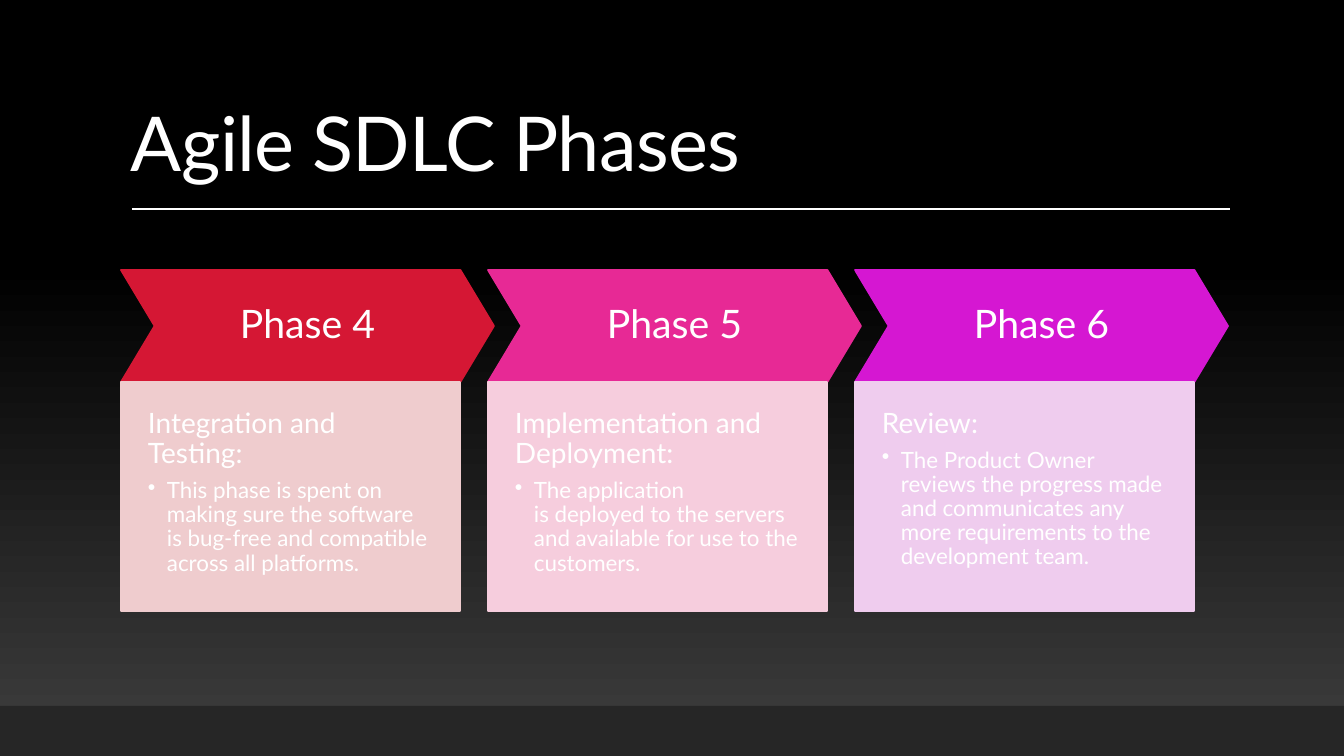
import pptx
import pptx.dml.color
import pptx.enum.dml
import pptx.enum.shapes
import pptx.enum.text
import pptx.oxml
import pptx.oxml.ns
import pptx.util

RGB = pptx.dml.color.RGBColor
SHAPES = pptx.enum.shapes.MSO_SHAPE
ALIGN = pptx.enum.text.PP_ALIGN
ANCHOR = pptx.enum.text.MSO_ANCHOR

WHITE = RGB(0xFF, 0xFF, 0xFF)
BLACK = RGB(0x00, 0x00, 0x00)
GREY = RGB(0x3F, 0x3F, 0x3F)
FOOTER = RGB(0x26, 0x26, 0x26)
RED = RGB(0xD5, 0x17, 0x34)
PINK = RGB(0xE7, 0x29, 0x95)
MAGENTA = RGB(0xD5, 0x17, 0xD2)
PALE_RED = RGB(0xEF, 0xCC, 0xCE)
PALE_PINK = RGB(0xF6, 0xCD, 0xDD)
PALE_MAGENTA = RGB(0xEF, 0xCC, 0xEE)

FONT = "Lato"
EMU_PER_PIXEL = 914400 / 100.8
PAGE_WIDTH, PAGE_HEIGHT = 1344, 756
FOOTER_TOP = 706
PHASE_LEFT, PHASE_STEP = 121, 367
CHEVRON_TOP, CHEVRON_WIDTH, CHEVRON_HEIGHT = 270, 373, 112
CARD_WIDTH, CARD_HEIGHT = 339, 229

PHASES = [
    ("Phase 4", RED, PALE_RED, "Integration and Testing:",
     "This phase is spent on making sure the software is bug-free "
     "and compatible across all platforms."),
    ("Phase 5", PINK, PALE_PINK, "Implementation and Deployment:",
     "The\u00a0application is\u00a0deployed to the servers and available "
     "for use to the customers."),
    ("Phase 6", MAGENTA, PALE_MAGENTA, "Review:",
     "The Product\u00a0Owner reviews the progress made and communicates "
     "any more requirements to the development team."),
]


def px(length):
    """Turn pixels into EMU."""
    return pptx.util.Emu(round(length * EMU_PER_PIXEL))


def apply(target, values):
    """Set each named attribute of the target."""
    for name, value in values.items():
        setattr(target, name, value)


def set_background(page):
    """Fade the page from grey at the bottom to black."""
    fill = page.background.fill
    fill.gradient()
    fill.gradient_angle = 90
    for stop, color, position in zip(fill.gradient_stops, (GREY, BLACK), (0, 0.65)):
        stop.color.rgb = color
        stop.position = position


def set_opacity(color_format, percent):
    """Make a solid colour partly transparent."""
    color = color_format._xFill.find(pptx.oxml.ns.qn("a:srgbClr"))
    alpha = color.makeelement(pptx.oxml.ns.qn("a:alpha"), {"val": str(percent * 1000)})
    color.append(alpha)


def add_block(page, kind, bounds, color, outlined=True, opacity=100):
    """Add a filled preset shape, outlined in its own colour."""
    block = page.shapes.add_shape(kind, *map(px, bounds))
    block.shadow.inherit = False
    block.fill.solid()
    block.fill.fore_color.rgb = color
    if outlined:
        block.line.width = pptx.util.Pt(1.25)
        block.line.color.rgb = color
    else:
        block.line.fill.background()
    if opacity < 100:
        for fill in (block.fill, block.line.fill):
            set_opacity(fill._fill, opacity) if hasattr(fill._fill, "_xFill") else None
    return block


def set_frame(frame, anchor, margins):
    """Set wrapping, anchor and left, top, right, bottom margins."""
    names = ("margin_left", "margin_top", "margin_right", "margin_bottom")
    apply(frame, {"word_wrap": True, "vertical_anchor": anchor,
                  **dict(zip(names, map(px, margins)))})


def write_para(para, text, size, **values):
    """Write one run in white and format its paragraph."""
    apply(para, {"alignment": ALIGN.LEFT, "line_spacing": 0.9, **values})
    span = para.add_run()
    span.text = text
    apply(span.font, {"name": FONT, "size": pptx.util.Pt(size)})
    span.font.color.rgb = WHITE
    return span


def add_bullet(para, indent):
    """Give a paragraph a hanging round bullet."""
    properties = para._p.get_or_add_pPr()
    properties.set("marL", str(px(indent)))
    properties.set("indent", str(-px(indent)))
    bullet = properties.makeelement(pptx.oxml.ns.qn("a:buChar"), {"char": "\u2022"})
    properties.append(bullet)


def add_title(page, text):
    """Add the slide title with slightly tightened letters."""
    box = page.shapes.add_textbox(*map(px, (121, 31, 1109, 160)))
    set_frame(box.text_frame, ANCHOR.BOTTOM, (10, 5, 10, 5))
    span = write_para(box.text_frame.paragraphs[0], text, 54, line_spacing=0.8)
    span.font._element.set("spc", "-50")


def add_rule(page, left, right, top):
    """Add the thin white line under the title."""
    rule = page.shapes.add_connector(
        pptx.enum.shapes.MSO_CONNECTOR.STRAIGHT, *map(px, (left, top, right, top)))
    rule.line.width = pptx.util.Pt(1)
    rule.line.color.rgb = WHITE
    properties = rule._element.spPr
    properties.append(properties.makeelement(pptx.oxml.ns.qn("a:effectLst"), {}))


def add_phase(page, left, name, color, pale, heading, detail):
    """Add one phase: a chevron with its name above a card."""
    chevron = add_block(page, SHAPES.CHEVRON,
                        (left, CHEVRON_TOP, CHEVRON_WIDTH, CHEVRON_HEIGHT), color)
    chevron.adjustments[0] = 0.3
    set_frame(chevron.text_frame, ANCHOR.MIDDLE, (14, 14, 14, 14))
    write_para(chevron.text_frame.paragraphs[0], name, 28, alignment=ALIGN.CENTER)

    card = add_block(page, SHAPES.RECTANGLE,
                     (left, CHEVRON_TOP + CHEVRON_HEIGHT, CARD_WIDTH, CARD_HEIGHT),
                     pale, opacity=90)
    frame = card.text_frame
    set_frame(frame, ANCHOR.TOP, (27, 27, 27, 53))
    write_para(frame.paragraphs[0], heading, 20, space_after=pptx.util.Pt(7))
    bullet_para = frame.add_paragraph()
    write_para(bullet_para, detail, 16)
    add_bullet(bullet_para, 19)


def main():
    """Build the slide and save it."""
    deck = pptx.Presentation()
    apply(deck, {"slide_width": px(PAGE_WIDTH), "slide_height": px(PAGE_HEIGHT)})
    page = deck.slides.add_slide(deck.slide_layouts[6])
    set_background(page)
    add_title(page, "Agile SDLC Phases")
    add_rule(page, 132, 1230, 209)
    add_block(page, SHAPES.RECTANGLE,
              (0, FOOTER_TOP, PAGE_WIDTH, PAGE_HEIGHT - FOOTER_TOP),
              FOOTER, outlined=False)
    for index, phase in enumerate(PHASES):
        add_phase(page, PHASE_LEFT + index * PHASE_STEP, *phase)
    deck.save("out.pptx")


main()
